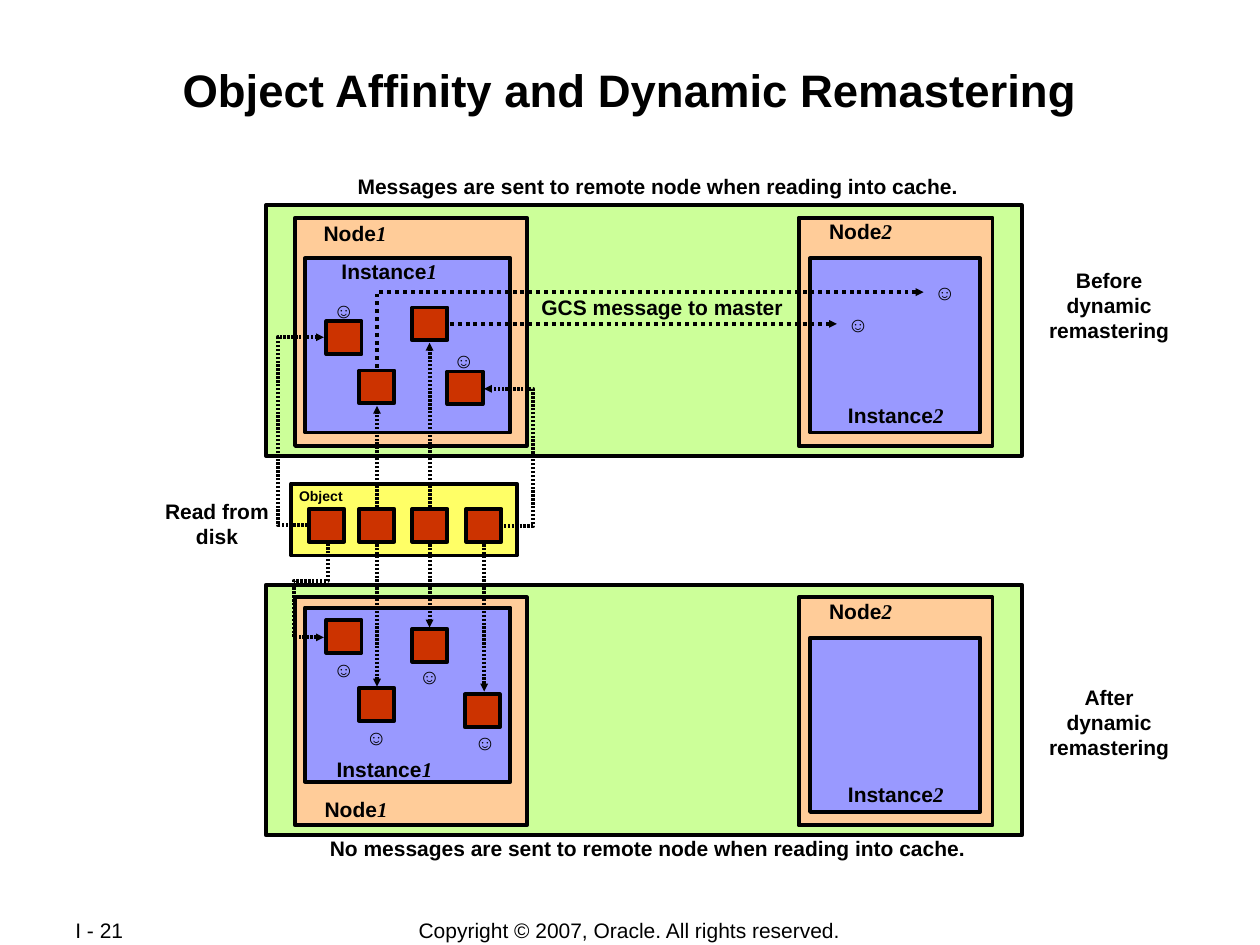
from dataclasses import dataclass

from lxml.etree import SubElement
from pptx import Presentation
from pptx.dml.color import RGBColor
from pptx.enum.dml import MSO_LINE
from pptx.enum.shapes import MSO_CONNECTOR as Link, MSO_SHAPE as Form
from pptx.enum.text import MSO_ANCHOR as Anchor, PP_ALIGN as Align
from pptx.oxml.ns import qn
from pptx.util import Cm, Pt


@dataclass(frozen=True)
class Theme:
    """Colours, fonts and sizes of the slide."""
    ink: str = "000000"
    cluster: str = "CCFF99"
    node: str = "FFCC99"
    instance: str = "9999FF"
    block: str = "CC3300"
    store: str = "FFFF66"
    font: str = "Arial"
    digit_font: str = "Times New Roman"
    title: int = 26
    body: int = 12
    small: int = 8
    stroke: float = 2.25


THEME = Theme()
BLOCK = (0.71, 0.66)
FACE = (0.86, 0.76)
NODE_LABEL = (1.78, 0.76)
INSTANCE_LABEL = (2.44, 0.76)


@dataclass(frozen=True)
class Region:
    """A box in centimetres whose parts are placed from its top left corner."""
    page: object
    left: float
    top: float
    width: float
    height: float

    def point(self, spot):
        """Return the slide position of a spot in the region."""
        return Cm(self.left + spot[0]), Cm(self.top + spot[1])

    def rect(self, fill, spot=(0, 0), size=None):
        """Draw an outlined rectangle, as large as the region by default."""
        width, height = size or (self.width, self.height)
        shape = self.page.shapes.add_shape(
            Form.RECTANGLE, *self.point(spot), Cm(width), Cm(height))
        shape.shadow.inherit = False
        shape.fill.solid()
        shape.fill.fore_color.rgb = RGBColor.from_string(fill)
        shape.line.color.rgb = RGBColor.from_string(THEME.ink)
        shape.line.width = Pt(THEME.stroke)

    def text(self, words, spot, size, points=THEME.body, bold=True,
             align=Align.CENTER, anchor=Anchor.TOP, number=""):
        """Write lines of text, optionally closed by an italic number."""
        box = self.page.shapes.add_textbox(
            *self.point(spot), Cm(size[0]), Cm(size[1]))
        frame = box.text_frame
        frame.word_wrap = False
        frame.vertical_anchor = anchor
        if align == Align.CENTER:
            frame.margin_left = frame.margin_right = Cm(0)
        para = frame.paragraphs[0]
        para.alignment = align
        for index, line in enumerate(words.split("\n")):
            if index:
                para.add_line_break()
            self.span(para, line, points, bold)
        if number:
            self.span(para, number, points, bold, THEME.digit_font, True)

    def span(self, para, words, points, bold, font=THEME.font, italic=False):
        """Add one formatted run to a paragraph."""
        span = para.add_run()
        span.text = words
        span.font.name = font
        span.font.size = Pt(points)
        span.font.bold = bold
        span.font.italic = italic
        span.font.color.rgb = RGBColor.from_string(THEME.ink)

    def arrow(self, begin, end, turns=None, arrow_end="tailEnd", fine=True):
        """Draw a dotted arrow, bent at the given turns unless they are None."""
        kind = Link.STRAIGHT if turns is None else Link.ELBOW
        link = self.page.shapes.add_connector(
            kind, *self.point(begin), *self.point(end))
        link.line.color.rgb = RGBColor.from_string(THEME.ink)
        link.line.width = Pt(THEME.stroke)
        properties = link._element.spPr
        if turns is not None:
            self.bend(properties.find(qn("a:prstGeom")), begin, end, turns)
        stroke = properties.find(qn("a:ln"))
        if fine:
            dash = SubElement(stroke, qn("a:custDash"))
            SubElement(dash, qn("a:ds"), d="60000", sp="40000")
        else:
            link.line.dash_style = MSO_LINE.ROUND_DOT
        SubElement(stroke, qn(f"a:{arrow_end}"), type="triangle", w="sm", len="sm")
        SubElement(properties, qn("a:effectLst"))

    def bend(self, geometry, begin, end, turns):
        """Set the elbow type and its turning points."""
        geometry.set("prst", f"bentConnector{len(turns) + 2}")
        guides = geometry.find(qn("a:avLst"))
        for axis, turn in enumerate(turns):
            share = (turn - begin[axis]) / (end[axis] - begin[axis])
            SubElement(guides, qn("a:gd"), name=f"adj{axis + 1}",
                       fmla=f"val {round(share * 100000)}")


def draw_cluster(region, instance_top, node_label, instance_label, blocks, faces):
    """Draw a cluster of two nodes with its cached blocks and readers."""
    region.rect(THEME.cluster)
    region.rect(THEME.node, (0.59, 0.25), (4.67, 4.6))
    region.rect(THEME.instance, (0.79, instance_top), (4.14, 3.51))
    region.rect(THEME.node, (10.74, 0.25), (3.91, 4.6))
    region.rect(THEME.instance, (10.97, 1.07), (3.43, 3.51))
    for number, node_spot, instance_spot in (
            ("1", node_label, instance_label),
            ("2", (11.1, 0.15), (11.48, 3.85))):
        region.text("Node", node_spot, NODE_LABEL, number=number)
        region.text("Instance", instance_spot, INSTANCE_LABEL, number=number)
    for spot in blocks:
        region.rect(THEME.block, spot, BLOCK)
    for spot in faces:
        region.text("☺", spot, FACE)


def draw_before(region):
    """Draw the cluster before remastering, with its messages."""
    draw_cluster(region, 1.07, (0.91, 0.18), (1.27, 0.94),
                 [(1.22, 2.34), (1.88, 3.33), (2.95, 2.06), (3.66, 3.35)],
                 [(1.14, 1.73), (3.56, 2.74), (11.51, 2.01), (13.26, 1.37)])
    region.arrow((3.71, 2.39), (11.51, 2.39), fine=False)
    region.arrow((13.26, 1.75), (2.24, 3.3), (), "headEnd", fine=False)
    region.text("GCS message to master", (5.31, 1.68), (5.36, 0.76))
    region.text("Messages are sent to remote node when reading into cache.",
                (1.6, -0.76), (12.62, 0.76), align=Align.LEFT)
    region.text("Before\ndynamic\nremastering", (15.54, 1.12), (2.92, 1.78))


def draw_after(region):
    """Draw the cluster after remastering."""
    draw_cluster(region, 0.46, (0.93, 4.14), (1.17, 3.33),
                 [(1.22, 0.71), (1.88, 2.08), (2.95, 0.89), (4.01, 2.21)],
                 [(1.14, 1.32), (3.99, 2.79), (2.87, 1.47), (1.8, 2.69)])
    region.text("No messages are sent to remote node when reading into cache.",
                (1.04, 4.93), (13.34, 0.76), align=Align.LEFT)
    region.text("After\ndynamic\nremastering", (15.54, 1.88), (2.92, 1.78))


def draw_object(region):
    """Draw the object on disk and the reads into both clusters."""
    region.rect(THEME.store)
    for left in (0.36, 1.37, 2.44, 3.53):
        region.rect(THEME.block, (left, 0.51), BLOCK)
    region.text("Object", (-0.1, -0.05), (1.4, 0.61), THEME.small)
    region.text("Read from\ndisk", (-2.79, 0.18), (2.59, 1.27))
    region.arrow((0.33, 0.84), (0.66, -2.95), (-0.27,))
    region.arrow((4.29, 0.86), (3.89, -1.91), (4.88,))
    region.arrow((0.66, 3.1), (0.74, 1.22), (0.05, 1.96), "headEnd")
    for x, start, stop in ((1.73, 0.48, -1.57), (2.79, 0.48, -2.84),
                           (1.73, 1.22, 4.09), (2.79, 1.22, 2.9),
                           (3.89, 1.22, 4.19)):
        region.arrow((x, start), (x, stop))


def draw_frame(region):
    """Write the title, page number and copyright line."""
    region.text("Object Affinity and Dynamic Remastering", (1.7, 1.13),
                (22, 2.44), THEME.title)
    region.text("I - 21", (1.27, 18.49), (2.69, 0.51), bold=False,
                align=Align.LEFT, anchor=Anchor.MIDDLE)
    region.text("Copyright © 2007, Oracle. All rights reserved.", (6.99, 18.49),
                (11.4, 0.53), bold=False, anchor=Anchor.MIDDLE)


def main():
    """Build the deck and save it."""
    deck = Presentation()
    deck.slide_width, deck.slide_height = Cm(25.4), Cm(19.05)
    page = deck.slides.add_slide(deck.slide_layouts[6])
    draw_frame(Region(page, 0, 0, 25.4, 19.05))
    draw_before(Region(page, 5.36, 4.14, 15.24, 5.05))
    draw_after(Region(page, 5.36, 11.79, 15.24, 5.05))
    draw_object(Region(page, 5.87, 9.75, 4.55, 1.45))
    deck.save("out.pptx")


if __name__ == "__main__":
    main()
